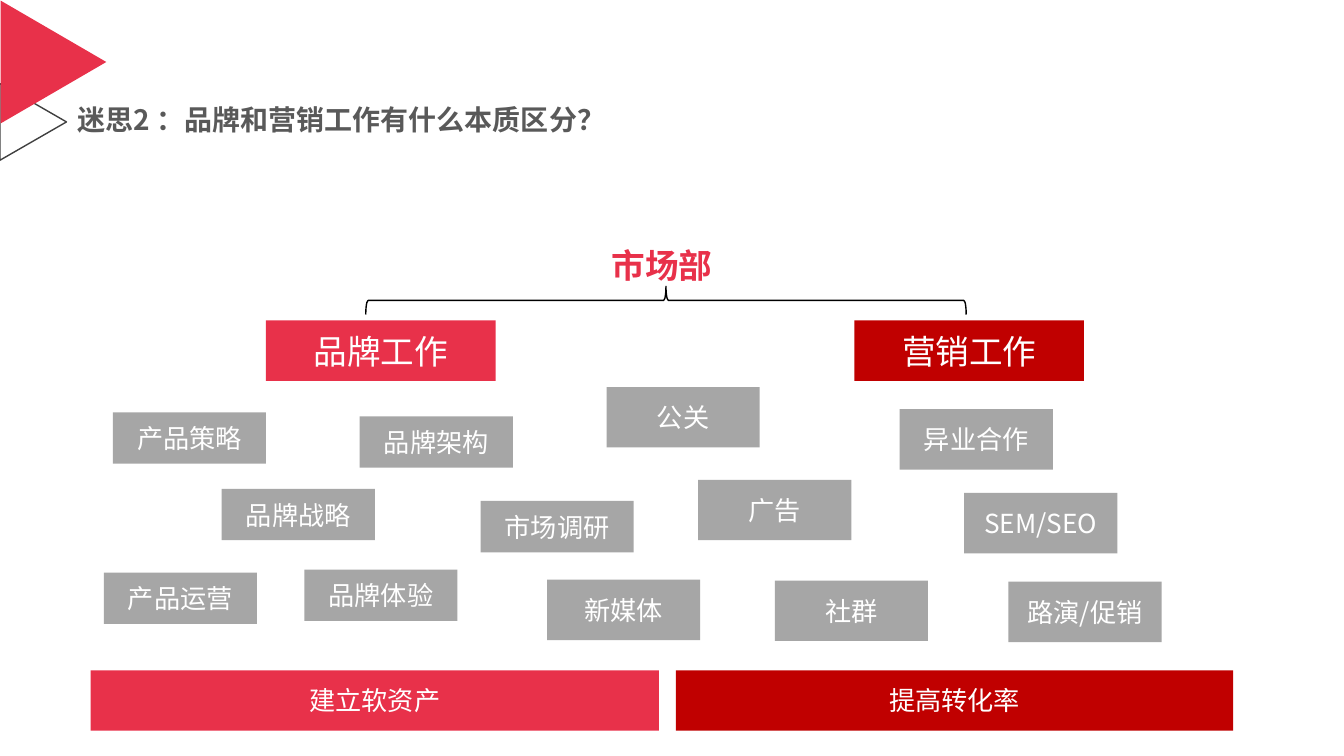
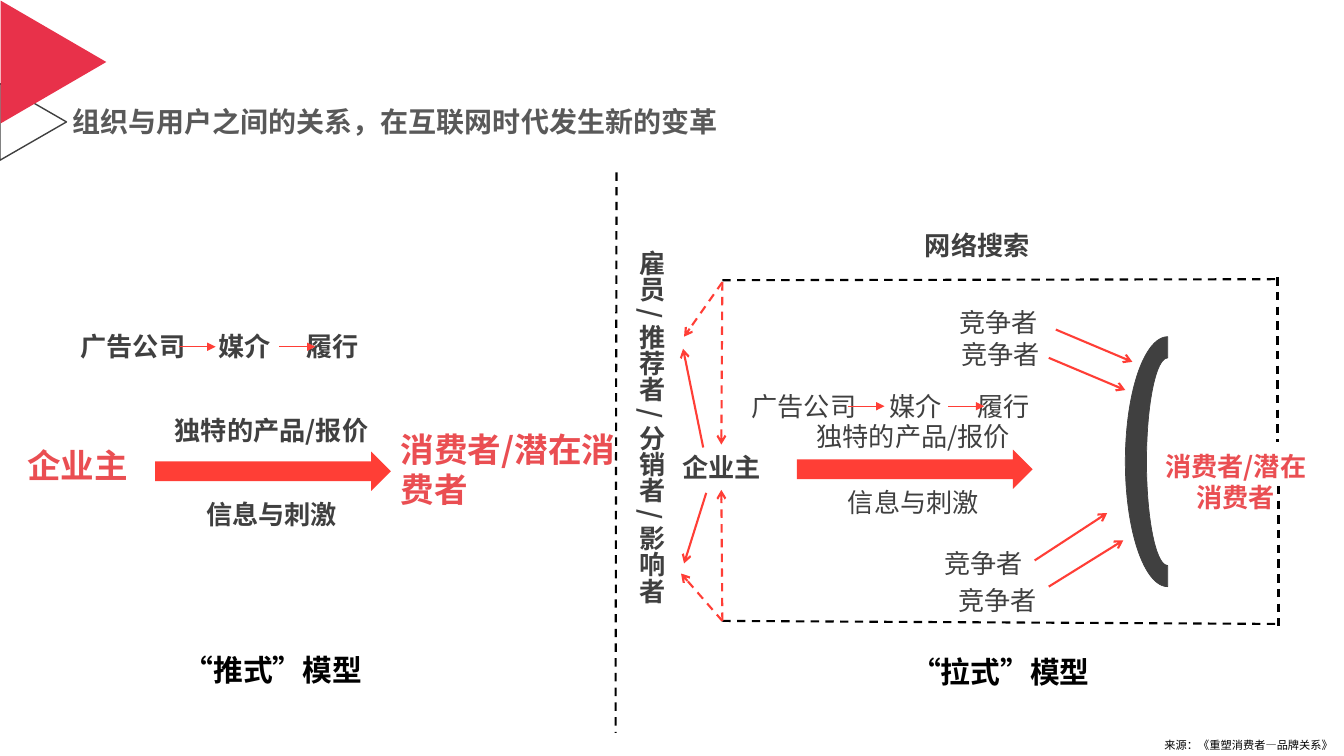
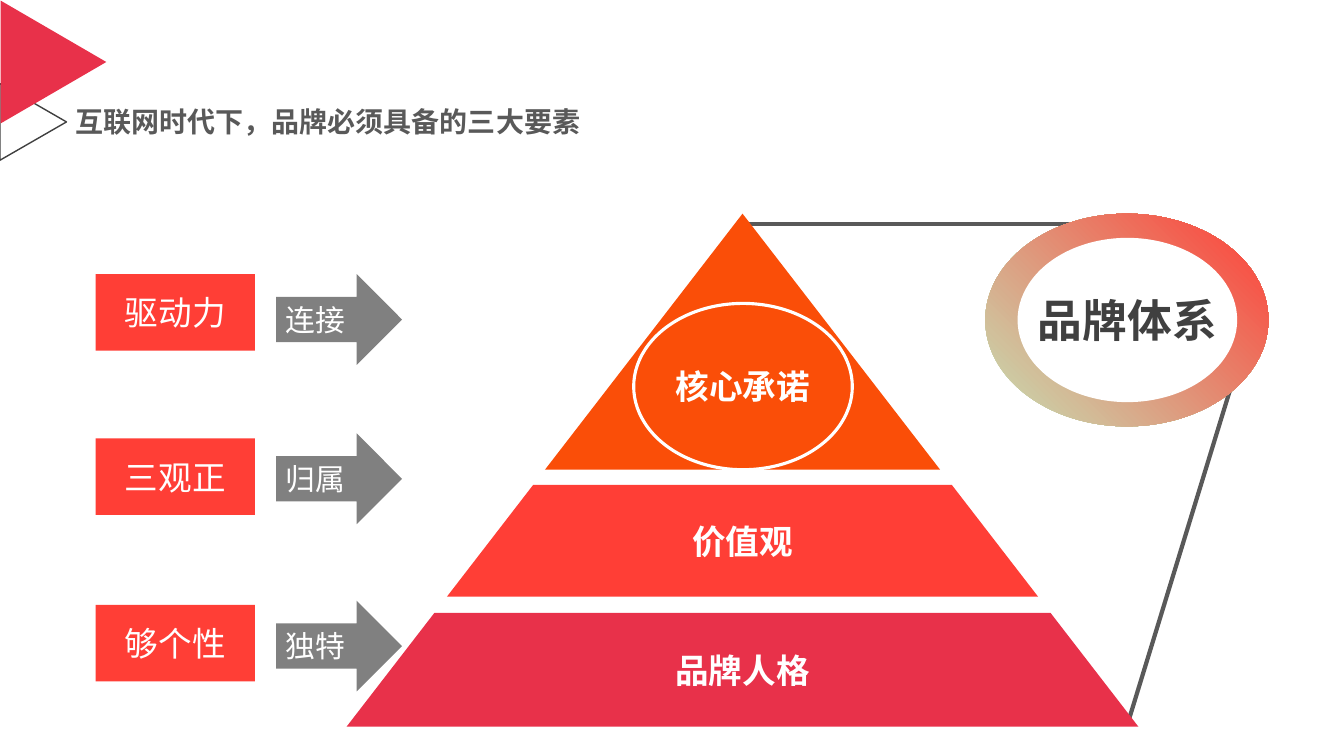
from lxml.etree import SubElement
from pptx import Presentation
from pptx.dml.color import RGBColor
from pptx.enum.dml import MSO_LINE
from pptx.enum.shapes import MSO_CONNECTOR, MSO_SHAPE
from pptx.enum.text import MSO_ANCHOR, PP_ALIGN
from pptx.oxml.ns import qn
from pptx.util import Inches, Pt

RECT = MSO_SHAPE.RECTANGLE
OVAL = MSO_SHAPE.OVAL
ARROW = MSO_SHAPE.RIGHT_ARROW
TRIANGLE = MSO_SHAPE.ISOSCELES_TRIANGLE
BRACE = MSO_SHAPE.LEFT_BRACE
ARC = MSO_SHAPE.BLOCK_ARC
STRAIGHT = MSO_CONNECTOR.STRAIGHT
DASH = MSO_LINE.DASH
MIDDLE = MSO_ANCHOR.MIDDLE
LEFT = PP_ALIGN.LEFT
CENTER = PP_ALIGN.CENTER

FONT = "Noto Sans CJK SC"
WHITE = RGBColor(0xFF, 0xFF, 0xFF)
BLACK = RGBColor(0, 0, 0)
CRIMSON = RGBColor(0xE8, 0x31, 0x4A)
MAROON = RGBColor(0xC0, 0, 0)
RED = RGBColor(0xFF, 0x3E, 0x36)
CORAL = RGBColor(0xEA, 0x4E, 0x52)
ORANGE = RGBColor(0xFA, 0x4E, 0x08)
GREEN = RGBColor(0xC5, 0xE0, 0xB4)
DARK = RGBColor(0x40, 0x40, 0x40)
SLATE = RGBColor(0x59, 0x59, 0x59)
GRAY = RGBColor(0x80, 0x80, 0x80)
SILVER = RGBColor(0xA6, 0xA6, 0xA6)


def dress(shape, text="", fill=None, edge=None, size=18.7, ink=WHITE, bold=False,
          align=CENTER, wrap=True, inset=(0.1, 0.05), tabs=()):
    shape.shadow.inherit = False
    if fill is None:
        shape.fill.background()
    else:
        shape.fill.solid()
        shape.fill.fore_color.rgb = fill
    if edge is None:
        shape.line.fill.background()
    else:
        shape.line.color.rgb, shape.line.width = edge
    if text:
        frame = shape.text_frame
        frame.text = text
        frame.word_wrap = wrap
        frame.vertical_anchor = MIDDLE
        frame.margin_left = frame.margin_right = Inches(inset[0])
        frame.margin_top = frame.margin_bottom = Inches(inset[1])
        par = frame.paragraphs[0]
        par.alignment = align
        props = shape.element.txBody.p_lst[0].get_or_add_pPr()
        if tabs:
            stops = SubElement(props, qn("a:tabLst"))
            for tab in tabs:
                SubElement(stops, qn("a:tab"), pos=str(Inches(tab)), algn="l")
        font = par.font
        font.name, font.size, font.bold = FONT, Pt(size), bold
        font.color.rgb = ink
        SubElement(props.find(qn("a:defRPr")), qn("a:ea"), typeface=FONT)
    return shape


def link(shapes, ends, color, width, dash=False, head=None):
    line = shapes.add_connector(STRAIGHT, *map(Inches, ends))
    line.line.color.rgb = color
    line.line.width = Pt(width)
    if dash:
        line.line.dash_style = DASH
    props = line.element.spPr
    if head:
        SubElement(props.find(qn("a:ln")), qn("a:tailEnd"), type=head)
    SubElement(props, qn("a:effectLst"))
    return line


prs = Presentation()
prs.slide_width = Inches(13.34)
prs.slide_height = Inches(7.5)
blank = prs.slide_layouts[6]
for holder in list(blank.placeholders):
    blank.shapes.element.remove(holder.element)

pages = []
for text, left, top, width in (
    ("迷思2 ：品牌和营销工作有什么本质区分？", 0.72, 1, 5.41),
    ("组织与用户之间的关系，在互联网时代发生新的变革", 0.67, 1.02, 6.65),
    ("互联网时代下，品牌必须具备的三大要素", 0.7, 1.02, 5.15),
):
    shapes = prs.slides.add_slide(blank).shapes
    title = shapes.add_textbox(*map(Inches, (left, top, width, 0.41)))
    dress(title, text, size=20, ink=SLATE, bold=True, align=LEFT, wrap=False, inset=(0.05, 0.05))
    title.text_frame.paragraphs[0].line_spacing = 0.9
    pages.append(shapes)
teams, models, brand = pages

for at, fill, edge in (
    ((-0.05, 0.88, 0.76, 0.66), None, (DARK, Pt(1))),
    ((-0.08, 0.09, 1.22, 1.05), CRIMSON, None),
):
    mark = dress(teams.add_shape(TRIANGLE, *map(Inches, at)), fill=fill, edge=edge)
    mark.rotation = 90
    blank.shapes.element.append(mark.element)

root = teams.add_textbox(*map(Inches, (5.43, 2.33, 2.28, 0.6)))
dress(root, "市场部", size=24, ink=CRIMSON, bold=True)
brace = teams.add_shape(BRACE, *map(Inches, (6.47, 0, 0.28, 5.96)))
dress(brace, edge=(BLACK, Pt(1))).rotation = 90

for text, left, top, width, fill, size in (
    ("品牌工作", 2.64, 3.18, 2.28, CRIMSON, 24),
    ("营销工作", 8.48, 3.18, 2.28, MAROON, 24),
    ("建立软资产", 0.9, 6.65, 5.64, CRIMSON, 18.7),
    ("提高转化率", 6.71, 6.65, 5.53, MAROON, 18.7),
):
    bar = teams.add_shape(RECT, *map(Inches, (left, top, width, 0.6)))
    dress(bar, text, fill, size=size)

tasks = (
    (0.51, (("产品策略", 1.12, 4.09), ("品牌架构", 3.57, 4.13), ("品牌战略", 2.2, 4.85),
            ("市场调研", 4.77, 4.97), ("产品运营", 1.03, 5.68), ("品牌体验", 3.02, 5.65))),
    (0.6, (("公关", 6.02, 3.84), ("异业合作", 8.93, 4.06), ("广告", 6.93, 4.76),
           ("SEM/SEO", 9.57, 4.89), ("新媒体", 5.43, 5.75), ("社群", 7.69, 5.76),
           ("路演/促销", 10.01, 5.77))),
)
for height, group in tasks:
    for text, left, top in group:
        card = teams.add_shape(RECT, *map(Inches, (left, top, 1.52, height)))
        dress(card, text, SILVER)

for bold, left, offer, arrow, info, chain, step, name, text in (
    (True, 1.25, 4.04, 4.48, 4.87, (0.67, 3.21), 1.78, (1.71, 6.41), "“推式”模型"),
    (False, 7.62, 4.1, 4.46, 4.76, (7.33, 3.8), 8.42, (8.93, 6.43), "“拉式”模型"),
):
    for label, top in (("独特的产品/报价", offer), ("信息与刺激", info)):
        note = models.add_textbox(*map(Inches, (left, top, 2.89, 0.45)))
        dress(note, label, ink=DARK, bold=bold, inset=(0.13, 0.07))
    dress(models.add_shape(ARROW, *map(Inches, (left + 0.29, arrow, 2.34, 0.39))), fill=RED)
    flow = models.add_textbox(*map(Inches, (*chain, 3.2, 0.45)))
    dress(flow, "\t".join(("广告公司", "媒介", "履行")), ink=DARK, bold=bold, align=LEFT,
          inset=(0.13, 0.07), tabs=(1.37, 2.24))
    level = chain[1] + 0.23
    for start in (step, step + 0.99):
        link(models, (start, level, start + 0.36, level), RED, 1, head="triangle")
    model = models.add_textbox(*map(Inches, (*name, 2, 0.46)))
    dress(model, text, size=21.3, ink=BLACK, bold=True, wrap=False)

for text, at, size, ink, bold, align in (
    ("消费者/潜在消费者", (3.88, 4.2, 2.36, 0.91), 24, CORAL, True, LEFT),
    ("企业主", (0.17, 4.36, 1.87, 0.5), 24, CORAL, True, LEFT),
    ("网络搜索", (8.98, 2.21, 1.44, 0.45), 18.7, DARK, True, CENTER),
    ("消费者/潜在消费者", (11.37, 4.4, 1.79, 0.76), 18.7, CORAL, True, CENTER),
    ("竞争者", (9.19, 2.97, 1.44, 0.45), 18.7, DARK, False, CENTER),
    ("竞争者", (9.21, 3.29, 1.44, 0.45), 18.7, DARK, False, CENTER),
    ("竞争者", (9.04, 5.36, 1.44, 0.45), 18.7, DARK, False, CENTER),
    ("竞争者", (9.18, 5.73, 1.44, 0.45), 18.7, DARK, False, CENTER),
    ("来源：《重塑消费者—品牌关系》", (11.46, 7.27, 2.28, 0.24), 8, BLACK, False, LEFT),
):
    label = models.add_textbox(*map(Inches, at))
    dress(label, text, size=size, ink=ink, bold=bold, align=align)

owner = models.add_textbox(*map(Inches, (6.44, 4.41, 1.44, 0.45)))
dress(owner, "企业主", ink=DARK, bold=True)
roles = models.add_textbox(*map(Inches, (6.18, 2.41, 0.58, 4.28)))
dress(roles, "雇员 / 推荐者 / 分销者 / 影响者", ink=DARK, bold=True, inset=(0.13, 0.07))
roles.element.txBody.bodyPr.set("vert", "eaVert")
arc = models.add_shape(ARC, *map(Inches, (10.35, 4.16, 2.48, 0.84)))
dress(arc, fill=DARK, edge=(DARK, Pt(0.5))).rotation = 270

for ends in (
    (6.12, 1.71, 6.11, 7.27),
    (7.17, 2.78, 12.69, 2.77),
    (7.17, 6.16, 12.69, 6.19),
    (12.68, 2.75, 12.68, 4.39),
    (12.69, 4.82, 12.69, 6.21),
):
    link(models, ends, BLACK, 1.5, dash=True)

for ends, dash in (
    ((7.17, 2.8, 6.79, 3.34), True),
    ((7.17, 6.16, 6.76, 5.69), True),
    ((6.98, 4.44, 6.78, 3.46), False),
    ((7.01, 4.89, 6.79, 5.59), False),
    ((10.48, 3.27, 11.24, 3.59), False),
    ((10.41, 3.55, 11.17, 3.87), False),
    ((10.41, 5.82, 11.15, 5.36), False),
    ((10.27, 5.56, 10.99, 5.09), False),
):
    link(models, ends, RED, 1.5, dash, "arrow")

for start, end, side in ((2.8, 4.41, 0), (6.16, 4.86, 2)):
    loop = link(models, (7.17, start, 7.16, end), RED, 1.5, True, "arrow")
    loop.end_connect(owner, side)

for ends in ((7.37, 2.22, 11.19, 2.22), (12.31, 3.54, 11.19, 7.19)):
    link(brand, ends, SLATE, 3)

mid, peak = 7.37, 2.12
slope = 3.93 / 5.09
for text, top, base, fill in (
    ("", peak, 4.66, ORANGE),
    ("价值观", 4.81, 5.92, RED),
    ("品牌人格", 6.08, 7.21, CRIMSON),
):
    near, far = (top - peak) * slope, (base - peak) * slope
    points = [(Inches(x), Inches(y)) for x, y in (
        (mid - far, base), (mid - near, top), (mid + near, top), (mid + far, base))]
    form = brand.build_freeform(*points[0])
    form.add_line_segments(points[1:], close=True)
    dress(form.convert_to_shape(), text, fill, size=24, bold=True, wrap=False)

ring = dress(brand.add_shape(OVAL, *map(Inches, (9.78, 2.12, 2.81, 2.11))))
ring.fill.gradient()
ring.fill.gradient_angle = 45
for stop, color in zip(ring.fill.gradient_stops, (GREEN, RED)):
    stop.color.rgb = color
core = brand.add_shape(OVAL, *map(Inches, (10.1, 2.36, 2.18, 1.63)))
dress(core, "品牌体系", WHITE, size=32, ink=DARK, bold=True, wrap=False)
vow = brand.add_shape(OVAL, *map(Inches, (6.29, 3.01, 2.17, 1.65)))
dress(vow, "核心承诺", edge=(WHITE, Pt(2.25)), size=24, bold=True, wrap=False)

for text, top, gain, high in (
    ("驱动力", 2.72, "连接", 2.72),
    ("三观正", 4.35, "归属", 4.3),
    ("够个性", 6, "独特", 5.96),
):
    trait = brand.add_shape(RECT, *map(Inches, (0.95, top, 1.58, 0.76)))
    dress(trait, text, RED, size=24)
    arrow = brand.add_shape(ARROW, *map(Inches, (2.74, high, 1.25, 0.9)))
    dress(arrow, gain, GRAY, size=21.3, align=LEFT)

prs.save("out.pptx")
